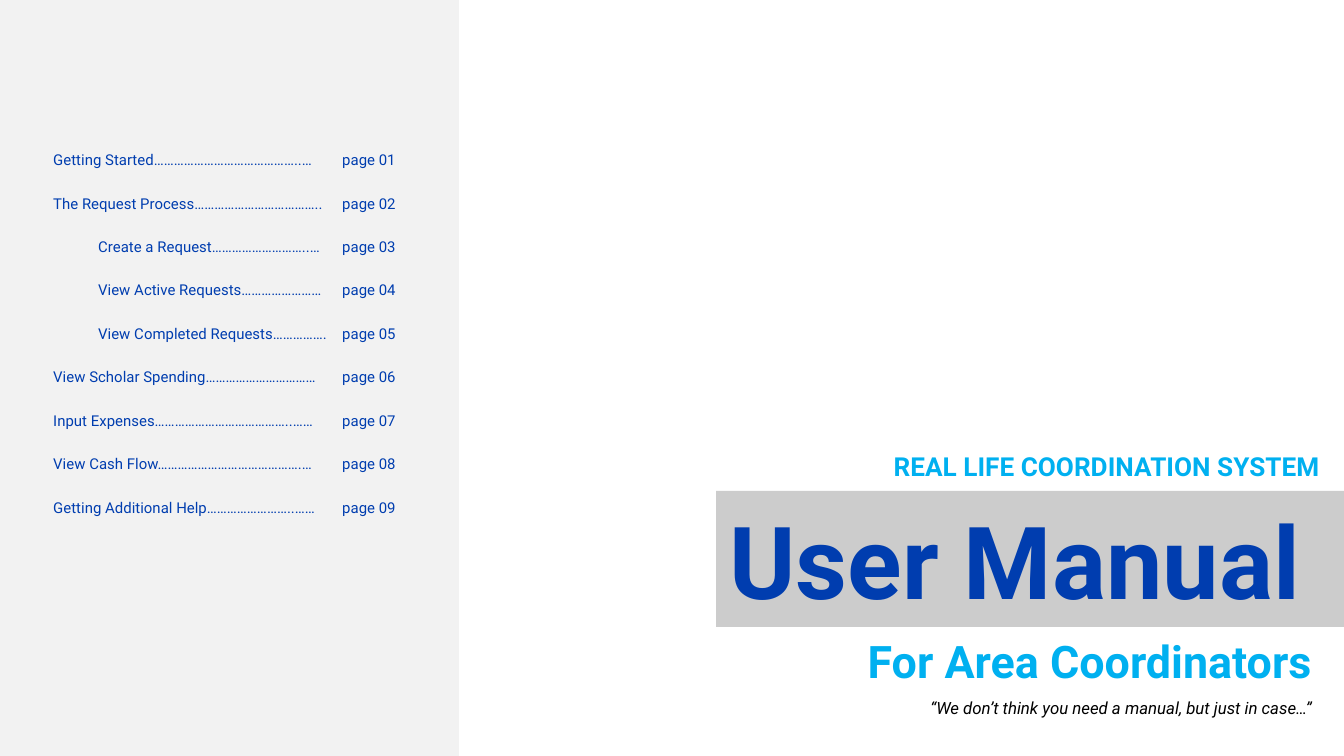
"""Build the cover and contents slide of a user manual."""
from pptx import Presentation
from pptx.dml.color import RGBColor
from pptx.enum.shapes import MSO_SHAPE
from pptx.enum.text import MSO_ANCHOR, MSO_AUTO_SIZE, PP_ALIGN
from pptx.util import Emu, Pt

RECTANGLE = MSO_SHAPE.RECTANGLE
TOP, MIDDLE = MSO_ANCHOR.TOP, MSO_ANCHOR.MIDDLE
NO_AUTOFIT = MSO_AUTO_SIZE.NONE
LEFT, RIGHT = PP_ALIGN.LEFT, PP_ALIGN.RIGHT

TITLE = "User Manual"
SUBTITLE = "For Area Coordinators"
SYSTEM = "REAL LIFE COORDINATION SYSTEM"
QUOTE = "“We don’t think you need a manual, but just in case…”"
CONTENTS = [
    (0, "Getting Started……………………………………..…"),
    (0, "The Request Process……………………………….."),
    (1, "Create a Request………………………..…"),
    (1, "View Active Requests……………………"),
    (1, "View Completed Requests……………."),
    (0, "View Scholar Spending……………………………"),
    (0, "Input Expenses…………………………………..……"),
    (0, "View Cash Flow…………………………………….…"),
    (0, "Getting Additional Help……………………..……"),
]

THEME = {
    "font": "Roboto",
    "panel": "F2F2F2",
    "band": "CCCCCC",
    "title": {"size": 54, "color": "003DAF", "bold": True},
    "subtitle": {"size": 24, "color": "00B0F0", "bold": True},
    "system": {"size": 14, "color": "00B0F0", "bold": True},
    "quote": {"size": 9, "color": "000000", "italic": True},
    "contents": {"size": 8, "color": "003DAF"},
}

SLIDE_WIDTH, SLIDE_HEIGHT = 1344, 756
PANEL_WIDTH = 459
ENTRY_LEFT, ENTRY_RIGHT, ENTRY_INDENT = 40, 346, 45
PAGE_LEFT, PAGE_WIDTH = 329, 86
FIRST_ROW, LAST_ROW, ROW_HEIGHT = 144, 492, 33


def px(length):
    return Emu(round(length * 914400 / 134.4))


def place(shape, left, top, width, height):
    shape.left, shape.top = px(left), px(top)
    shape.width, shape.height = px(width), px(height)


def fill(shape, color):
    shape.fill.solid()
    shape.fill.fore_color.rgb = RGBColor.from_string(color)


def write(shape, text, style, align=LEFT, anchor=TOP):
    frame = shape.text_frame
    frame.text = text
    frame.word_wrap = True
    frame.auto_size = NO_AUTOFIT
    frame.vertical_anchor = anchor
    paragraph = frame.paragraphs[0]
    paragraph.alignment = align
    paragraph.space_before = Pt(0)
    font = paragraph.runs[0].font
    font.name = THEME["font"]
    font.size = Pt(style["size"])
    font.bold = style.get("bold", False)
    font.italic = style.get("italic", False)
    font.color.rgb = RGBColor.from_string(style["color"])


def add_text(slide, box, text, style, align=LEFT):
    shape = slide.shapes.add_textbox(*map(px, box))
    write(shape, text, style, align)


def add_contents(slide):
    pitch = (LAST_ROW - FIRST_ROW) / (len(CONTENTS) - 1)
    for index, (level, entry) in enumerate(CONTENTS):
        top = FIRST_ROW + index * pitch
        left = ENTRY_LEFT + level * ENTRY_INDENT
        entry_box = (left, top, ENTRY_RIGHT - left, ROW_HEIGHT)
        page_box = (PAGE_LEFT, top, PAGE_WIDTH, ROW_HEIGHT)
        add_text(slide, entry_box, entry, THEME["contents"])
        add_text(slide, page_box, f"page {index + 1:02}", THEME["contents"])


def main():
    presentation = Presentation()
    presentation.slide_width = px(SLIDE_WIDTH)
    presentation.slide_height = px(SLIDE_HEIGHT)
    slide = presentation.slides.add_slide(presentation.slide_layouts[0])

    panel = slide.shapes.add_shape(RECTANGLE, 0, 0, px(PANEL_WIDTH), px(SLIDE_HEIGHT))
    panel.shadow.inherit = False
    panel.line.fill.background()
    fill(panel, THEME["panel"])

    title, subtitle = slide.placeholders
    place(title, 716, 491, 628, 136)
    fill(title, THEME["band"])
    write(title, TITLE, THEME["title"], anchor=MIDDLE)
    place(subtitle, 829, 627, 496, 68)
    write(subtitle, SUBTITLE, THEME["subtitle"], RIGHT)

    add_contents(slide)
    add_text(slide, (895, 691, 430, 34), QUOTE, THEME["quote"], RIGHT)
    add_text(slide, (867, 444, 466, 45), SYSTEM, THEME["system"], RIGHT)
    presentation.save("out.pptx")


if __name__ == "__main__":
    main()
